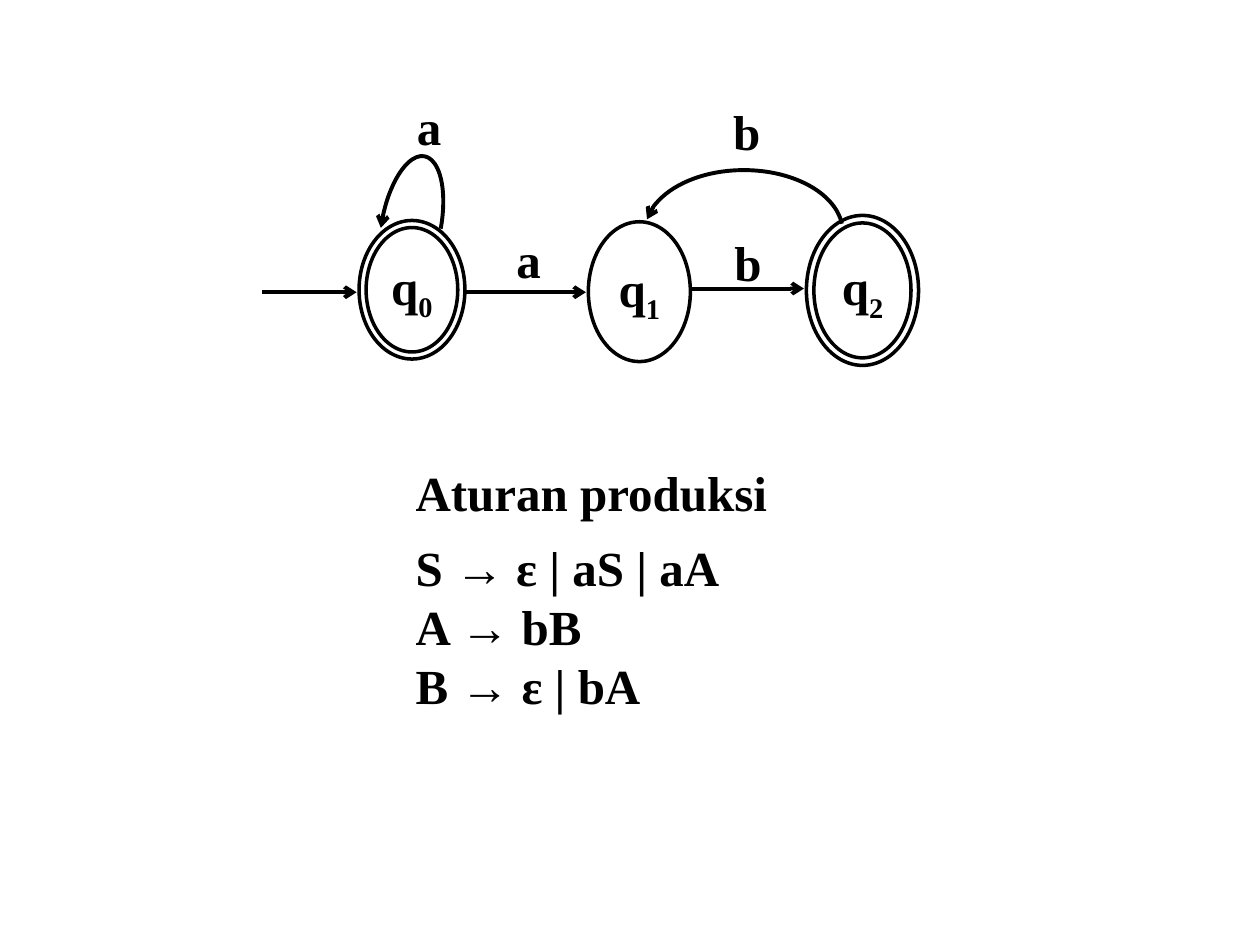
import dataclasses

import pptx
import pptx.dml.color
import pptx.enum.shapes
import pptx.enum.text
import pptx.oxml
import pptx.oxml.ns
import pptx.util

Pt = pptx.util.Pt
Shape = pptx.enum.shapes.MSO_SHAPE
Anchor = pptx.enum.text.MSO_ANCHOR
Align = pptx.enum.text.PP_ALIGN
AutoSize = pptx.enum.text.MSO_AUTO_SIZE


@dataclasses.dataclass(frozen=True)
class Theme:
    ink: str = "000000"
    font: str = "Times New Roman"
    text_size: float = 28
    state_line: float = 2
    arrow_line: float = 2.25
    ring: float = 0.067
    rule_gap: float = 9.5


def set_values(target, values):
    for name, value in values.items():
        setattr(target, name, value)


class AutomatonSlide:
    def __init__(self, presentation, theme):
        self.theme = theme
        self.ink = pptx.dml.color.RGBColor.from_string(theme.ink)
        self.slide = presentation.slides.add_slide(presentation.slide_layouts[6])

    def run(self, paragraph, text):
        run = paragraph.add_run()
        run.text = text
        set_values(run.font, {"name": self.theme.font, "bold": True,
                              "size": Pt(self.theme.text_size)})
        run.font.color.rgb = self.ink
        return run

    def outline(self, line, width):
        line.color.rgb = self.ink
        line.width = Pt(width)

    def arrowhead(self, line, end):
        element = pptx.oxml.parse_xml(
            f'<a:{end} {pptx.oxml.ns.nsdecls("a")} type="arrow"/>')
        line._get_or_add_ln().append(element)

    def hollow(self, kind, box, width, adjustments=()):
        shape = self.slide.shapes.add_shape(kind, *map(Pt, box))
        shape.shadow.inherit = False
        shape.fill.background()
        self.outline(shape.line, width)
        for index, value in enumerate(adjustments):
            shape.adjustments[index] = value
        return shape

    def state(self, number, box, final=False):
        kind, adjustments = (Shape.DONUT, [self.theme.ring]) if final else (Shape.OVAL, [])
        shape = self.hollow(kind, box, self.theme.state_line, adjustments)
        set_values(shape.text_frame, {
            "vertical_anchor": Anchor.MIDDLE, "word_wrap": True,
            "margin_left": 0, "margin_right": 0})
        paragraph = shape.text_frame.paragraphs[0]
        paragraph.alignment = Align.CENTER
        self.run(paragraph, "q")
        subscript = self.run(paragraph, number)
        subscript.font._element.set("baseline", "-25000")

    def arrow(self, start, end, y):
        connector = self.slide.shapes.add_connector(
            pptx.enum.shapes.MSO_CONNECTOR.STRAIGHT, Pt(start), Pt(y), Pt(end), Pt(y))
        self.outline(connector.line, self.theme.arrow_line)
        self.arrowhead(connector.line, "tailEnd")
        connector._element.spPr.append(pptx.oxml.parse_xml(
            f'<a:effectLst {pptx.oxml.ns.nsdecls("a")}/>'))

    def loop(self, box, angles, rotation=0):
        # Arc adjustments count 60000 units per degree, in hundred-thousands
        shape = self.hollow(Shape.ARC, box, self.theme.arrow_line,
                            [angle * 0.6 for angle in angles])
        shape.rotation = rotation
        self.arrowhead(shape.line, "headEnd")

    def text(self, lines, box, wrap=False):
        frame = self.slide.shapes.add_textbox(*map(Pt, box)).text_frame
        set_values(frame, {"word_wrap": wrap, "auto_size": AutoSize.SHAPE_TO_FIT_TEXT})
        for index, line in enumerate(lines):
            paragraph = frame.add_paragraph() if index else frame.paragraphs[0]
            self.run(paragraph, line)
        return frame


def main():
    presentation = pptx.Presentation()
    set_values(presentation, {"slide_width": Pt(720), "slide_height": Pt(540)})
    theme = Theme()
    page = AutomatonSlide(presentation, theme)

    # States
    page.state("0", (205.2, 126, 60.5, 79.2), final=True)
    page.state("1", (336.2, 126.7, 58.3, 79.9))
    page.state("2", (460.8, 123.1, 64.1, 85.7), final=True)

    # Straight transitions
    for start, end, y in [(149.8, 203.8, 167), (266.4, 334.8, 167), (394.6, 459.4, 164.9)]:
        page.arrow(start, end, y)

    # Curved transitions
    page.loop((218.2, 88.6, 33.8, 79.2), (162.4, 357.59), rotation=10.9)
    page.loop((368.6, 97.2, 113, 70.6), (187.4, 355.25))

    # Transition symbols
    for symbol, left, top in [("a", 231.1, 51.8), ("a", 288, 127.4),
                              ("b", 411.8, 54.7), ("b", 412.6, 129.6)]:
        page.text([symbol], (left, top, 29, 39))

    # Production rules
    rules = page.text(["Aturan produksi", "S → ε | aS | aA", "A → bB", "B → ε | bA"],
                      (230.4, 260.6, 270, 152.6), wrap=True)
    rules.paragraphs[0].space_after = Pt(theme.rule_gap)

    presentation.save("out.pptx")


if __name__ == "__main__":
    main()
